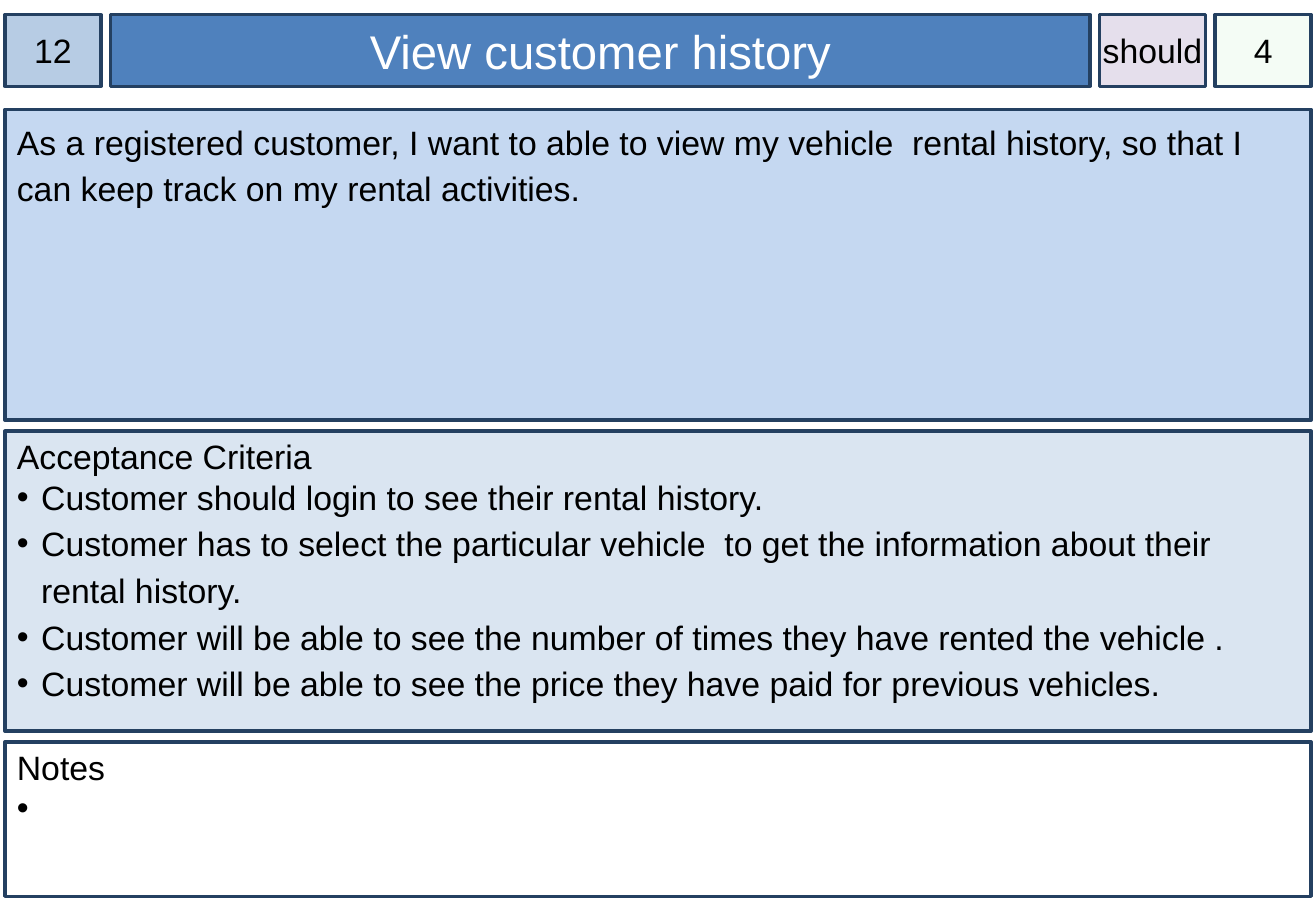
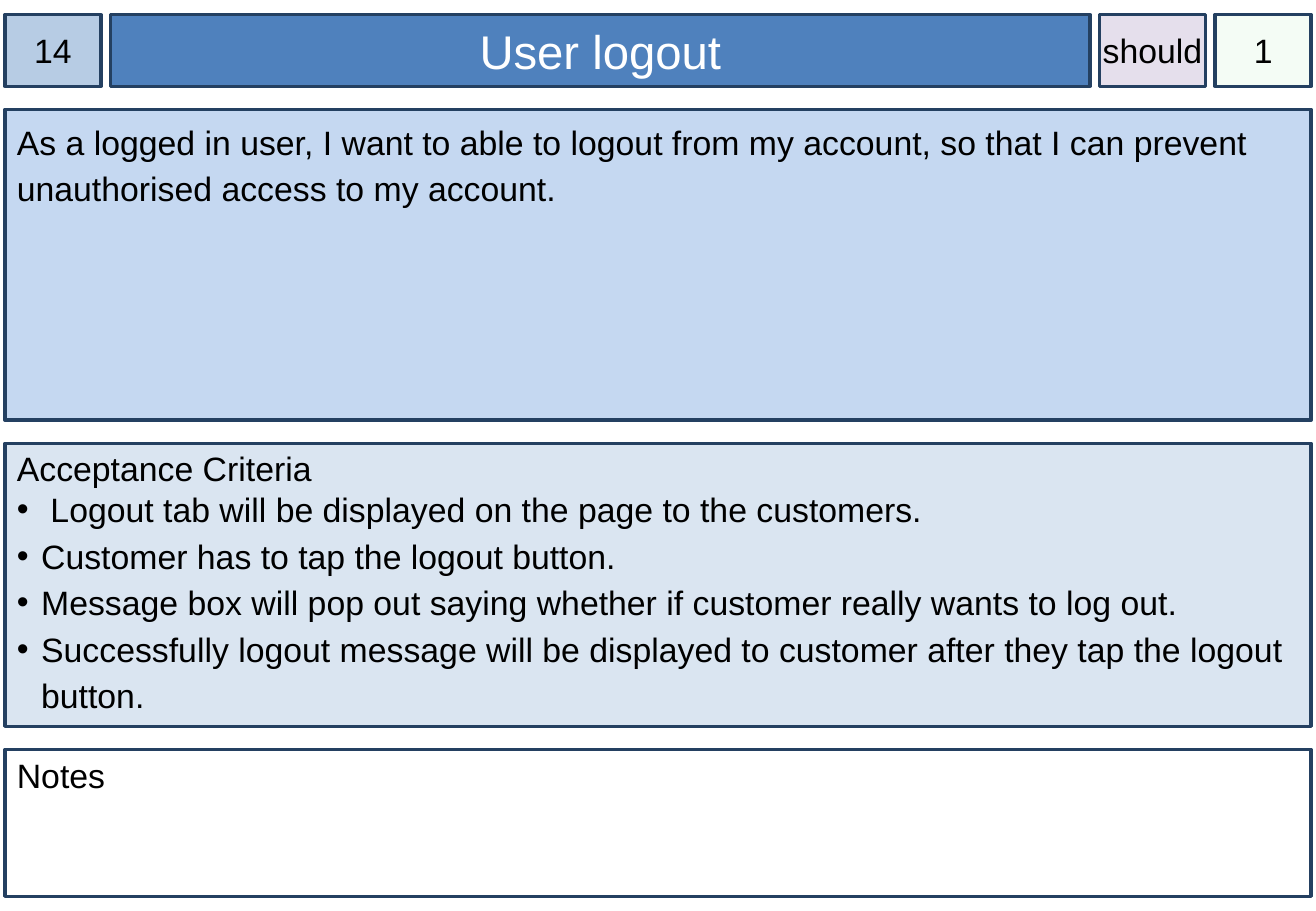
"""Build user story cards, one per slide, for a vehicle rental backlog."""
import dataclasses

import lxml.etree
import pptx
import pptx.dml.color
import pptx.enum.shapes
import pptx.enum.text
import pptx.oxml.ns
import pptx.util

ALIGN = pptx.enum.text.PP_ALIGN
ANCHOR = pptx.enum.text.MSO_ANCHOR


@dataclasses.dataclass(frozen=True)
class Theme:
    """Colours and type sizes shared by every card."""
    font: str = "Arial"
    body_size: int = 20
    title_size: int = 28
    line_width: int = 2
    loose: float = 1.15
    outline: str = "244061"
    ink: str = "000000"
    title_ink: str = "FFFFFF"
    number_fill: str = "B7CCE4"
    title_fill: str = "4F81BD"
    priority_fill: str = "E5DFEC"
    estimate_fill: str = "CCF0CD"
    story_fill: str = "C5D8F1"
    criteria_fill: str = "DAE5F1"
    remarks_fill: str = "FFFFFF"


@dataclasses.dataclass(frozen=True)
class Grid:
    """Lengths in inches that place the header row and the panels."""
    width: float = 10.83
    height: float = 7.5
    margin: float = 0.04
    gap: float = 0.08
    header_top: float = 0.12
    header_height: float = 0.59
    badge_width: float = 0.79
    priority_width: float = 0.87
    story_top: float = 0.9
    story_height: float = 2.56
    bottom: float = 7.38
    bullet_indent: float = 0.2


@dataclasses.dataclass(frozen=True)
class Card:
    """Content of one story, with the spacing of its panels."""
    number: str
    title: str
    priority: str
    estimate: str
    story: str
    criteria: tuple
    remarks: tuple
    panel_gap: float
    criteria_height: float


THEME = Theme()
GRID = Grid()

CARDS = (
    Card(
        number="12", title="View customer history", priority="should", estimate="4",
        story="As a registered customer, I want to able to view my vehicle  rental history, "
              "so that I can keep track on my rental activities.",
        criteria=(
            "Customer should login to see their rental history.",
            "Customer has to select the particular vehicle  to get the information "
            "about their rental history.",
            "Customer will be able to see the number of times they have rented the vehicle .",
            "Customer will be able to see the price they have paid for previous vehicles.",
        ),
        remarks=(" ",), panel_gap=0.09, criteria_height=2.47,
    ),
    Card(
        number="14", title="User logout", priority="should", estimate="1",
        story="As a logged in user, I want to able to logout from my account, "
              "so that I can prevent unauthorised access to my account.",
        criteria=(
            " Logout tab will be displayed on the page to the customers.",
            "Customer has to tap the logout button.",
            "Message box will pop out saying whether if customer really wants to log out.",
            "Successfully logout message will be displayed to customer after they tap "
            "the logout button.",
        ),
        remarks=(), panel_gap=0.19, criteria_height=2.33,
    ),
)


def apply_format(target, values):
    """Set each named attribute of the target."""
    for name, value in values.items():
        setattr(target, name, value)


def rgb(colour):
    """Turn a hex string into a colour object."""
    return pptx.dml.color.RGBColor.from_string(colour)


def add_element(parent, tag, **attributes):
    """Append a drawing element with the given attributes."""
    return lxml.etree.SubElement(parent, pptx.oxml.ns.qn(tag), attributes)


def add_box(slide, left, top, width, height, fill, side=0.1, head=0.05, anchor=ANCHOR.TOP):
    """Draw an outlined rectangle and return it."""
    inches = pptx.util.Inches
    shape = slide.shapes.add_shape(
        pptx.enum.shapes.MSO_SHAPE.RECTANGLE, *map(inches, (left, top, width, height)))
    shape.shadow.inherit = False
    shape.fill.solid()
    shape.fill.fore_color.rgb = rgb(fill)
    shape.line.color.rgb = rgb(THEME.outline)
    shape.line.width = pptx.util.Pt(THEME.line_width)
    apply_format(shape.text_frame, {
        "word_wrap": True, "vertical_anchor": anchor,
        "margin_left": inches(side), "margin_right": inches(side),
        "margin_top": inches(head), "margin_bottom": inches(0.05),
    })
    return shape


def set_transparent(shape, opacity):
    """Give the solid fill of a shape an opacity in percent."""
    colour = shape._element.spPr.find(".//" + pptx.oxml.ns.qn("a:srgbClr"))
    add_element(colour, "a:alpha", val=str(opacity * 1000))


def write(paragraph, text, size=THEME.body_size, colour=THEME.ink, align=ALIGN.LEFT, spacing=1.0):
    """Fill a paragraph with one styled run."""
    apply_format(paragraph, {"alignment": align, "line_spacing": spacing})
    run = paragraph.add_run()
    run.text = text
    apply_format(run.font, {"name": THEME.font, "size": pptx.util.Pt(size)})
    run.font.color.rgb = rgb(colour)


def add_bullet(paragraph):
    """Give a paragraph a hanging bullet."""
    indent = pptx.util.Inches(GRID.bullet_indent)
    properties = paragraph._p.get_or_add_pPr()
    properties.set("marL", str(indent))
    properties.set("indent", str(-indent))
    add_element(add_element(properties, "a:buClr"), "a:srgbClr", val=THEME.ink)
    add_element(properties, "a:buFont", typeface=THEME.font)
    add_element(properties, "a:buChar", char="•")


def add_header(slide, card):
    """Draw the row with number, title, priority and estimate."""
    title_width = (GRID.width - 2 * GRID.margin - 2 * GRID.badge_width
                   - GRID.priority_width - 3 * GRID.gap)
    cells = (
        (card.number, GRID.badge_width, THEME.number_fill, {}),
        (card.title, title_width, THEME.title_fill,
         {"size": THEME.title_size, "colour": THEME.title_ink}),
        (card.priority, GRID.priority_width, THEME.priority_fill, {}),
        (card.estimate, GRID.badge_width, THEME.estimate_fill, {}),
    )
    left = GRID.margin
    for text, width, fill, style in cells:
        shape = add_box(slide, left, GRID.header_top, width, GRID.header_height, fill,
                        side=0, anchor=ANCHOR.MIDDLE)
        write(shape.text_frame.paragraphs[0], text, align=ALIGN.CENTER, **style)
        left += width + GRID.gap
    set_transparent(shape, 20)


def add_panel(slide, top, height, fill, **insets):
    """Draw a full-width panel and return its text frame."""
    width = GRID.width - 2 * GRID.margin
    return add_box(slide, GRID.margin, top, width, height, fill, **insets).text_frame


def add_list_panel(slide, top, height, fill, heading, items):
    """Draw a panel with a heading above bulleted items."""
    frame = add_panel(slide, top, height, fill, head=0.04)
    write(frame.paragraphs[0], heading)
    for index, item in enumerate(items):
        paragraph = frame.add_paragraph()
        add_bullet(paragraph)
        write(paragraph, item, spacing=THEME.loose if index else 1.0)


def add_card(presentation, card):
    """Add one slide holding a story card."""
    slide = presentation.slides.add_slide(presentation.slide_layouts[6])
    add_header(slide, card)
    story = add_panel(slide, GRID.story_top, GRID.story_height, THEME.story_fill)
    write(story.paragraphs[0], card.story, spacing=THEME.loose)
    criteria_top = GRID.story_top + GRID.story_height + card.panel_gap
    add_list_panel(slide, criteria_top, card.criteria_height, THEME.criteria_fill,
                   "Acceptance Criteria", card.criteria)
    remarks_top = criteria_top + card.criteria_height + card.panel_gap
    add_list_panel(slide, remarks_top, GRID.bottom - remarks_top, THEME.remarks_fill,
                   "Notes", card.remarks)


def main():
    """Build the cards and save the presentation."""
    presentation = pptx.Presentation()
    apply_format(presentation, {
        "slide_width": pptx.util.Inches(GRID.width),
        "slide_height": pptx.util.Inches(GRID.height),
    })
    for card in CARDS:
        add_card(presentation, card)
    presentation.save("out.pptx")


if __name__ == "__main__":
    main()
